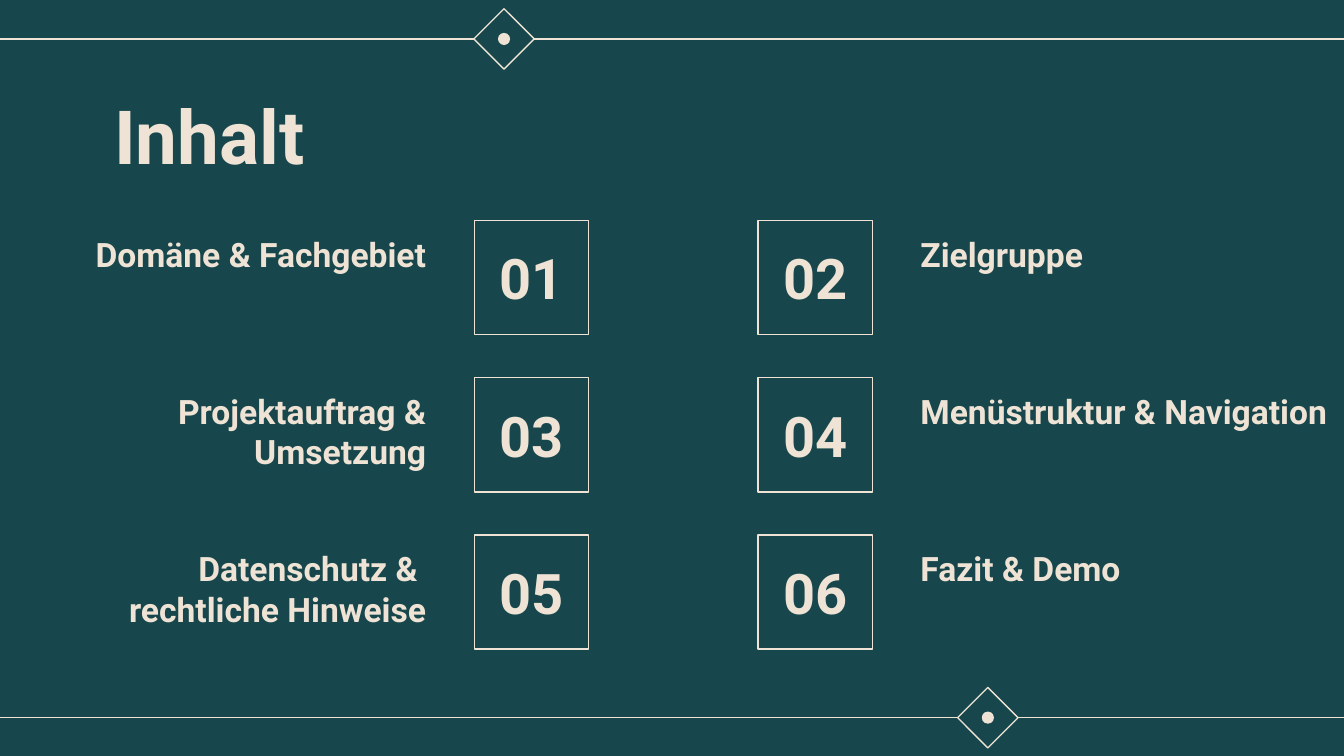
from dataclasses import dataclass

from lxml.etree import SubElement
from pptx import Presentation
from pptx.dml.color import RGBColor
from pptx.enum.shapes import MSO_CONNECTOR as Connector, MSO_SHAPE as Shape
from pptx.enum.text import MSO_ANCHOR as Anchor, MSO_AUTO_SIZE as AutoSize, PP_ALIGN as Align
from pptx.oxml.ns import qn
from pptx.util import Inches, Pt


@dataclass(frozen=True)
class Theme:
    background: RGBColor = RGBColor.from_string("17474C")
    ink: RGBColor = RGBColor.from_string("EEE3D4")
    font: str = "Roboto"
    title_size: int = 40
    number_size: int = 30
    label_size: int = 18
    line_width: float = 0.75


THEME = Theme()
WIDTH = 10
HEIGHT = WIDTH * 9 / 16

# Agenda grid: two columns of number boxes, labels on their outer sides
BOX = 0.85
BOX_LEFTS = (3.53, 5.64)
ROW_TOP, ROW_PITCH = 1.64, 1.17
LABEL_GAP = 0.26
INSET = 0.1

AGENDA = (
    ("Domäne & Fachgebiet", "Zielgruppe"),
    ("Projektauftrag & Umsetzung", "Menüstruktur & Navigation"),
    ("Datenschutz & \vrechtliche Hinweise", "Fazit & Demo"),
)

# Ornaments: centre of the diamond on each rule
ORNAMENTS = ((3.75, 0.29), (7.35, 5.34))
DIAMOND, DOT = 0.45, 0.09


def write(shape, text, size, align=Align.LEFT, anchor=Anchor.TOP):
    """Put themed text into a shape."""
    frame = shape.text_frame
    frame.text = text
    frame.word_wrap = True
    frame.auto_size = AutoSize.NONE
    frame.vertical_anchor = anchor
    frame.margin_left = frame.margin_right = Inches(INSET)
    frame.margin_top = frame.margin_bottom = Inches(INSET)
    paragraph = frame.paragraphs[0]
    paragraph.alignment = align
    paragraph.line_spacing = 1.0
    font = paragraph.font
    font.name, font.size, font.bold = THEME.font, Pt(size), True
    font.color.rgb = THEME.ink


def add_outline(slide, kind, left, top, size):
    """Add an unfilled, thinly outlined square shape."""
    shape = slide.shapes.add_shape(kind, *map(Inches, (left, top, size, size)))
    shape.shadow.inherit = False
    shape.fill.background()
    shape.line.color.rgb = THEME.ink
    shape.line.width = Pt(THEME.line_width)
    return shape


def add_dot(slide, x, y):
    dot = add_outline(slide, Shape.OVAL, x - DOT / 2, y - DOT / 2, DOT)
    dot.fill.solid()
    dot.fill.fore_color.rgb = THEME.ink
    dot.line.fill.background()


def add_rule(slide, start, end, y):
    rule = slide.shapes.add_connector(
        Connector.STRAIGHT, *map(Inches, (start, y, end, y)))
    rule.line.color.rgb = THEME.ink
    rule.line.width = Pt(THEME.line_width)
    SubElement(rule.element.spPr, qn("a:effectLst"))


def add_ornament(slide, x, y):
    """Add a rule across the slide, broken by a diamond with a dot."""
    half = DIAMOND / 2
    add_outline(slide, Shape.DIAMOND, x - half, y - half, DIAMOND)
    add_dot(slide, x, y)
    add_rule(slide, x + half, WIDTH, y)
    add_rule(slide, x - half, 0, y)


def add_title(slide, text):
    title = slide.shapes.title
    title.left, title.top, title.width, title.height = map(
        Inches, (0.75, 0.57, 8.5, 0.63))
    write(title, text, THEME.title_size)


def add_label(slide, text, left, top, width, align):
    label = slide.shapes.add_textbox(*map(Inches, (left, top, width, BOX)))
    write(label, text, THEME.label_size, align)


def add_agenda_item(slide, row, column, text):
    """Add a numbered box and its label at a grid cell."""
    left, top = BOX_LEFTS[column], ROW_TOP + row * ROW_PITCH
    number = row * len(BOX_LEFTS) + column + 1
    box = add_outline(slide, Shape.RECTANGLE, left, top, BOX)
    write(box, f"{number:02}", THEME.number_size, Align.CENTER, Anchor.MIDDLE)
    if column == 0:
        add_label(slide, text, 0, top, left - LABEL_GAP, Align.RIGHT)
    else:
        start = left + BOX + LABEL_GAP
        add_label(slide, text, start, top, WIDTH - start, Align.LEFT)


def main():
    presentation = Presentation()
    presentation.slide_width, presentation.slide_height = Inches(WIDTH), Inches(HEIGHT)
    slide = presentation.slides.add_slide(presentation.slide_layouts[5])
    slide.background.fill.solid()
    slide.background.fill.fore_color.rgb = THEME.background

    # Decoration
    for x, y in ORNAMENTS:
        add_ornament(slide, x, y)

    # Content
    add_title(slide, "Inhalt")
    for row, labels in enumerate(AGENDA):
        for column, text in enumerate(labels):
            add_agenda_item(slide, row, column, text)

    presentation.save("out.pptx")


if __name__ == "__main__":
    main()
